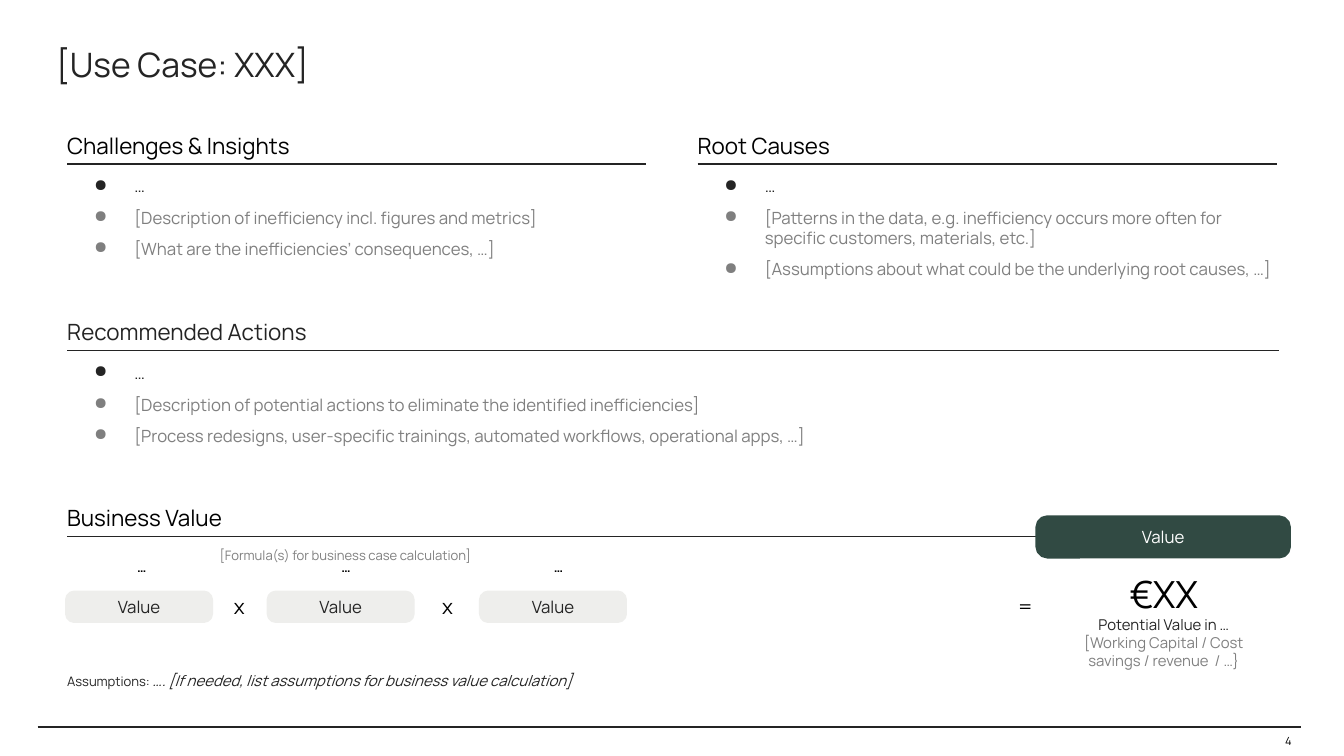
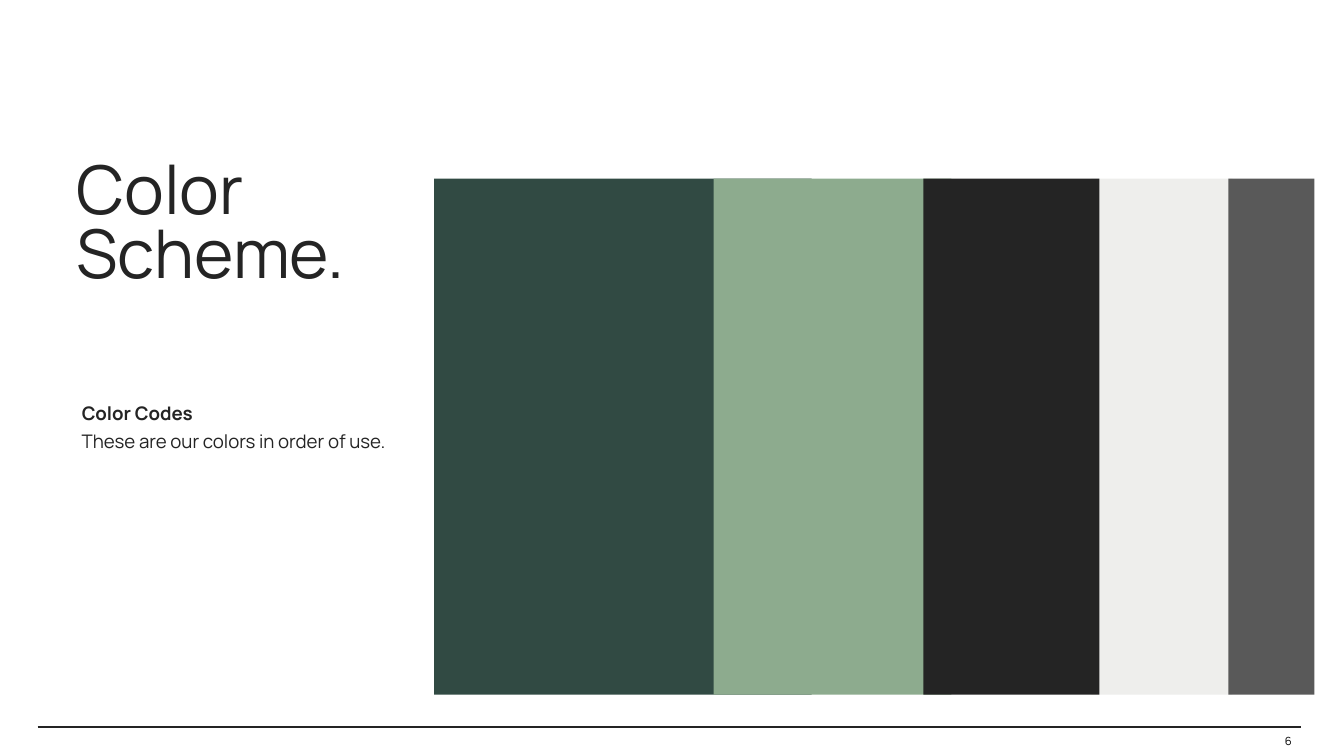
from lxml.etree import SubElement
from pptx import Presentation
from pptx.dml.color import RGBColor
from pptx.enum.shapes import MSO_CONNECTOR, MSO_SHAPE
from pptx.enum.text import MSO_ANCHOR as ANCHOR, PP_ALIGN as ALIGN
from pptx.oxml.ns import qn
from pptx.util import Emu, Pt

PX = 9144  # 100 px to the inch
WIDTH, HEIGHT = 1000, 562.5
FONT = "Manrope"
COLORS = {
    "ink": "242424",
    "black": "000000",
    "white": "FFFFFF",
    "hint": "7F7F7F",
    "forest": "314A43",
    "sage": "8DAB8E",
    "mist": "EEEEEC",
    "slate": "595959",
}

# heading, heading colour, left, rule y, width, bullets (the first is a stub, the others are hints)
SECTIONS = [
    ("Challenges & Insights", "black", 50, 122, 431, [
        "…",
        "[Description of inefficiency incl. figures and metrics]",
        "[What are the inefficiencies’ consequences, …]",
    ]),
    ("Root Causes", "black", 519, 122, 431, [
        "…",
        "[Patterns in the data, e.g. inefficiency occurs more often for "
        "specific customers, materials, etc.]",
        "[Assumptions about what could be the underlying root causes, …]",
    ]),
    ("Recommended Actions", "ink", 50, 261, 902, [
        "…",
        "[Description of potential actions to eliminate the identified inefficiencies]",
        "[Process redesigns, user-specific trainings, automated workflows, operational apps, …]",
    ]),
    ("Business Value", "black", 50, 399, 900, []),
]
FACTORS = [(50, 52), (200, 204), (358, 362)]  # pill left, label left
FACTOR_WIDTH = 107
OPERATORS = [("x", 178), ("x", 333), ("=", 763)]  # sign, centre
RESULT = [
    ("€XX", 20, "black"),
    ("Potential Value in …", 8, "ink"),
    ("[Working Capital / Cost savings / revenue  / …}", 8, "hint"),
]
ASSUMPTIONS = [
    ("Assumptions: ", 7, False),
    ("…. [If needed, list assumptions for business value calculation]", 8, True),
]
# colour, left, width, in stacking order
SWATCHES = [
    ("mist", 812, 105),
    ("forest", 323, 281),
    ("sage", 531, 177),
    ("slate", 914, 64),
    ("ink", 687, 131),
]


def px(value):
    return Emu(round(value * PX))


def rgb(name):
    return RGBColor.from_string(COLORS[name])


def style(font, size, color, bold=None):
    font.name, font.size, font.bold = FONT, Pt(size), bold
    font.color.rgb = rgb(color)


def set_frame(frame, anchor, insets):
    frame.word_wrap = True
    frame.vertical_anchor = anchor
    (frame.margin_left, frame.margin_top,
     frame.margin_right, frame.margin_bottom) = map(px, insets)


def add_text(slide, box, lines, anchor=ANCHOR.TOP, insets=(10, 10, 10, 10),
             align=ALIGN.LEFT, spacing=None, bold=None, bullets=False):
    """Add a text box; each line is (text, size, colour)."""
    frame = slide.shapes.add_textbox(*map(px, box)).text_frame
    set_frame(frame, anchor, insets)
    for index, (text, size, color) in enumerate(lines):
        paragraph = frame.paragraphs[0] if index == 0 else frame.add_paragraph()
        paragraph.text = text
        paragraph.alignment = align
        paragraph.line_spacing = spacing
        if bullets:
            paragraph.space_before = Pt(6 if index else 0)
            add_bullet(paragraph, color)
        style(paragraph.font, size, color, bold)


def add_bullet(paragraph, color):
    properties = paragraph._p.get_or_add_pPr()
    properties.set("marL", str(px(50)))
    properties.set("indent", str(px(-30)))
    bullet_color = SubElement(properties, qn("a:buClr"))
    SubElement(bullet_color, qn("a:srgbClr"), val=COLORS[color])
    SubElement(properties, qn("a:buChar"), char="●")


def add_rule(slide, left, top, width):
    rule = slide.shapes.add_connector(
        MSO_CONNECTOR.STRAIGHT, px(left), px(top), px(left + width), px(top))
    rule.line.color.rgb = rgb("ink")
    rule.line.width = Pt(0.75)
    SubElement(rule._element.spPr, qn("a:effectLst"))


def add_block(slide, kind, box, color):
    shape = slide.shapes.add_shape(kind, *map(px, box))
    shape.shadow.inherit = False
    shape.fill.solid()
    shape.fill.fore_color.rgb = rgb(color)
    shape.line.fill.background()
    return shape


def add_pill(slide, box, fill, color):
    pill = add_block(slide, MSO_SHAPE.ROUNDED_RECTANGLE, box, fill)
    pill.adjustments[0] = 0.25
    pill.line.color.rgb = rgb(fill)
    pill.line.width = Pt(2.25)
    set_frame(pill.text_frame, ANCHOR.MIDDLE, (10, 10, 10, 10))
    paragraph = pill.text_frame.paragraphs[0]
    paragraph.text = "Value"
    paragraph.alignment = ALIGN.CENTER
    style(paragraph.font, 9, color)


def new_slide(presentation, number):
    """Add a blank slide with the footer rule and page number."""
    slide = presentation.slides.add_slide(presentation.slide_layouts[6])
    add_rule(slide, 28, 541, 940)
    add_text(slide, (911, 541, 60, 21), [(number, 6, "black")],
             ANCHOR.MIDDLE, align=ALIGN.RIGHT)
    return slide


def add_section(slide, heading, color, left, rule_top, width, bullets):
    add_text(slide, (left, rule_top - 24, width, 20), [(heading, 12, color)],
             ANCHOR.BOTTOM, (0, 0, 0, 0))
    add_rule(slide, left, rule_top, width)
    if bullets:
        lines = [(text, 9, "hint" if index else "ink") for index, text in enumerate(bullets)]
        add_text(slide, (left, rule_top + 9, width, 81), lines,
                 insets=(0, 0, 0, 0), bullets=True)


def add_formula(slide):
    centered = {"anchor": ANCHOR.MIDDLE, "insets": (10, 0, 10, 0), "align": ALIGN.CENTER}
    add_text(slide, (45, 393, 424, 40),
             [("[Formula(s) for business case calculation]", 7, "hint")], **centered)
    for pill_left, label_left in FACTORS:
        add_text(slide, (label_left, 402, FACTOR_WIDTH, 40), [("…", 7, "black")],
                 bold=True, **centered)
        add_pill(slide, (pill_left, 441, FACTOR_WIDTH, 21), "mist", "ink")
    for sign, center in OPERATORS:
        add_text(slide, (center - 18, 437, 36, 29), [(sign, 11, "black")],
                 insets=(10, 5, 10, 5), align=ALIGN.CENTER)
    add_pill(slide, (772, 385, 187, 29), "forest", "white")
    add_text(slide, (782, 421, 168, 81), RESULT, **centered)


def add_assumptions(slide):
    frame = slide.shapes.add_textbox(*map(px, (50, 492, 823, 29))).text_frame
    set_frame(frame, ANCHOR.MIDDLE, (0, 10, 10, 10))
    for text, size, italic in ASSUMPTIONS:
        run = frame.paragraphs[0].add_run()
        run.text = text
        style(run.font, size, "ink")
        run.font.italic = italic


def build_use_case(presentation):
    slide = new_slide(presentation, "4")
    add_text(slide, (32, 18, 868, 60), [("[Use Case: XXX]", 18, "ink")], ANCHOR.MIDDLE)
    for section in SECTIONS:
        add_section(slide, *section)
    add_formula(slide)
    add_assumptions(slide)


def build_color_scheme(presentation):
    slide = new_slide(presentation, "6")
    add_text(slide, (47, 111, 328, 117),
             [("Color", 36, "ink"), ("Scheme.", 36, "ink")], spacing=0.8)
    add_text(slide, (51, 281, 722, 50), [("Color Codes", 10, "ink")],
             ANCHOR.MIDDLE, spacing=1.15, bold=True)
    add_text(slide, (51, 308, 416, 158),
             [("These are our colors in order of use.", 10, "ink")], spacing=1.15)
    for color, left, width in SWATCHES:
        add_block(slide, MSO_SHAPE.RECTANGLE, (left, 133, width, 384), color)


def main():
    presentation = Presentation()
    presentation.slide_width, presentation.slide_height = px(WIDTH), px(HEIGHT)
    build_use_case(presentation)
    build_color_scheme(presentation)
    presentation.save("out.pptx")


if __name__ == "__main__":
    main()
